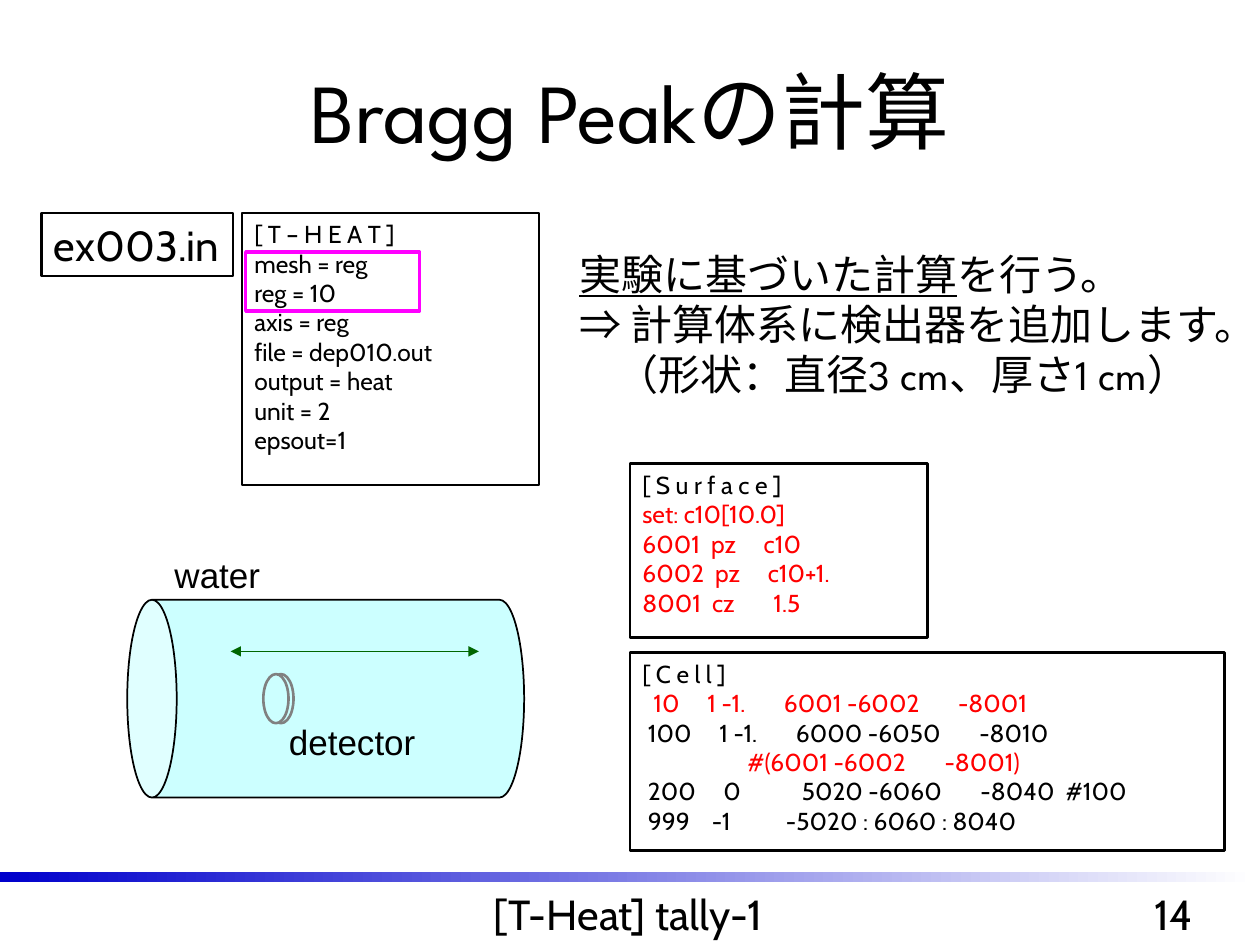
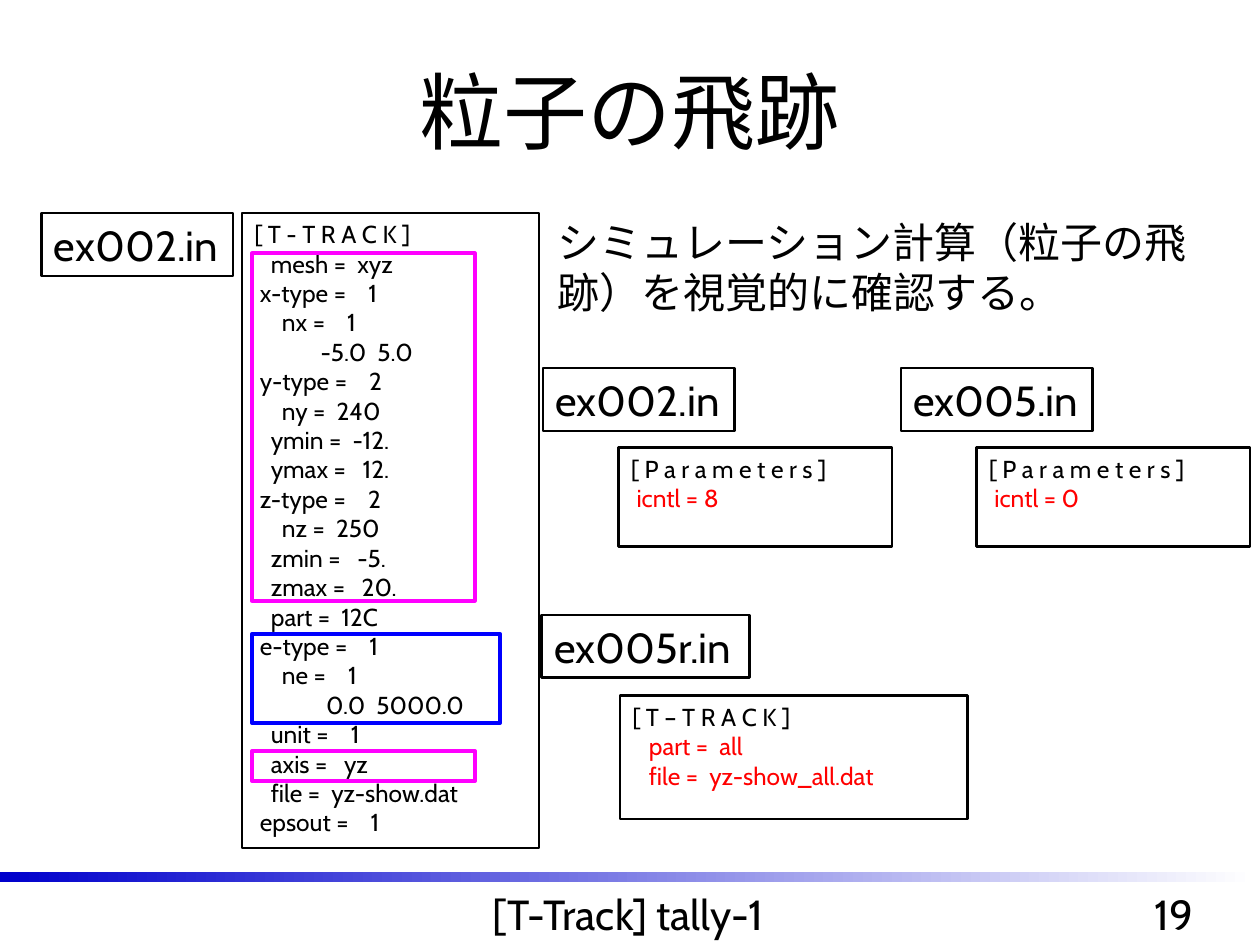
import dataclasses

import lxml.etree
import pptx
import pptx.dml.color
import pptx.enum.shapes
import pptx.enum.text
import pptx.oxml.ns
import pptx.util

Inches = pptx.util.Inches
SHAPES = pptx.enum.shapes.MSO_SHAPE
ALIGN = pptx.enum.text.PP_ALIGN
ANCHOR = pptx.enum.text.MSO_ANCHOR


@dataclasses.dataclass(frozen=True)
class Theme:
    ink: str = "000000"
    paper: str = "FFFFFF"
    added: str = "FF0000"
    focus: str = "FF00FF"
    energy: str = "0000FF"
    band: str = "0000CC"
    water: str = "CCFFFF"
    rim: str = "808080"
    beam: str = "006600"
    heading: str = "League Spartan"
    body: str = "Cabin"
    label: str = "Arial"
    title_size: int = 48
    text_size: int = 24
    label_size: int = 20
    code_size: int = 14
    thin: float = 1
    frame: float = 1.5
    thick: float = 2


class Deck:
    """Draws the elements of the current slide in one shared style."""

    def __init__(self, theme):
        self.theme = theme
        self.presentation = pptx.Presentation()
        self.presentation.slide_width = Inches(10)
        self.presentation.slide_height = Inches(7.5)
        self.slide = None

    def colour(self, code):
        return pptx.dml.color.RGBColor.from_string(code)

    def box(self, at):
        return [Inches(length) for length in at]

    def start(self, title, topic, number):
        theme = self.theme
        self.slide = self.presentation.slides.add_slide(self.presentation.slide_layouts[6])
        self.text((0.25, 0.25, 9.5, 1.25), [title], theme.heading, theme.title_size,
                  ALIGN.CENTER, ANCHOR.MIDDLE)
        band = self.shape((0, 6.92, 9.96, 0.08))
        band.fill.gradient()
        band.fill.gradient_angle = 0
        for stop, code in zip(band.fill.gradient_stops, (theme.band, theme.paper)):
            stop.color.rgb = self.colour(code)
        for at, words in (((2.4, 7, 5.17, 0.5), topic), ((8.92, 7, 0.79, 0.5), number)):
            self.text(at, [words], theme.body, theme.text_size, ALIGN.CENTER)

    def shape(self, at, kind=SHAPES.RECTANGLE, fill=None, line=None, width=None):
        shape = self.slide.shapes.add_shape(kind, *self.box(at))
        shape.shadow.inherit = False
        if fill:
            shape.fill.solid()
            shape.fill.fore_color.rgb = self.colour(fill)
        else:
            shape.fill.background()
        if line:
            shape.line.color.rgb = self.colour(line)
            shape.line.width = pptx.util.Pt(width)
        else:
            shape.line.fill.background()
        return shape

    def set_lines(self, frame, lines, font, size, align=ALIGN.LEFT, anchor=ANCHOR.TOP, added=()):
        frame.word_wrap = True
        frame.vertical_anchor = anchor
        for index, words in enumerate(lines):
            paragraph = frame.paragraphs[0] if index == 0 else frame.add_paragraph()
            paragraph.alignment = align
            paragraph.add_run().text = words
            paragraph.font.name = font
            paragraph.font.size = pptx.util.Pt(size)
            ink = self.theme.added if index in added else self.theme.ink
            paragraph.font.color.rgb = self.colour(ink)
        return frame

    def text(self, at, lines, font, size, align=ALIGN.LEFT, anchor=ANCHOR.TOP):
        frame = self.slide.shapes.add_textbox(*self.box(at)).text_frame
        return self.set_lines(frame, lines, font, size, align, anchor)

    def message(self, at, lines):
        return self.text(at, lines, self.theme.heading, self.theme.text_size)

    def label(self, at, words):
        self.text(at, [words], self.theme.label, self.theme.label_size, ALIGN.CENTER)

    def file_name(self, left, top, words, width=1.52):
        theme = self.theme
        tag = self.shape((left, top, width, 0.5), line=theme.ink, width=theme.frame)
        frame = self.set_lines(tag.text_frame, [words], theme.body, theme.text_size)
        frame.word_wrap = False

    def code(self, at, listing, added=()):
        theme = self.theme
        panel = self.shape(at, fill=theme.paper, line=theme.ink, width=theme.frame)
        self.set_lines(panel.text_frame, listing.split("\n"), theme.body, theme.code_size,
                       added=added)

    def highlight(self, at, code):
        self.shape(at, line=code, width=self.theme.thick)

    def double_arrow(self, left, right, height):
        arrow = self.slide.shapes.add_connector(
            pptx.enum.shapes.MSO_CONNECTOR.STRAIGHT, *self.box((left, height, right, height)))
        arrow.line.color.rgb = self.colour(self.theme.beam)
        arrow.line.width = pptx.util.Pt(self.theme.thin)
        properties = arrow._element.spPr
        outline = properties.find(pptx.oxml.ns.qn("a:ln"))
        for end in ("a:headEnd", "a:tailEnd"):
            lxml.etree.SubElement(outline, pptx.oxml.ns.qn(end), type="triangle")
        lxml.etree.SubElement(properties, pptx.oxml.ns.qn("a:effectLst"))


HEAT = """[ T – H E A T ]
mesh = reg
reg = 10
axis = reg
file = dep010.out
output = heat
unit = 2
epsout=1"""

SURFACE = """[ S u r f a c e ]
set: c10[10.0]
6001  pz     c10
6002  pz     c10+1.
8001  cz       1.5"""

CELL = """[ C e l l ]
  10     1 -1.       6001 -6002       -8001
 100     1 -1.       6000 -6050       -8010
                   #(6001 -6002       -8001)
 200     0           5020 -6060       -8040  #100
 999    -1          -5020 : 6060 : 8040"""

TRACK = """[ T - T R A C K ]
   mesh =  xyz
 x-type =    1
     nx =    1
            -5.0  5.0
 y-type =    2
     ny =  240
   ymin =  -12.
   ymax =   12.
 z-type =    2
     nz =  250
   zmin =   -5.
   zmax =   20.
   part =  12C
 e-type =    1
     ne =    1
             0.0  5000.0
   unit =    1
   axis =   yz
   file =  yz-show.dat
 epsout =    1"""

TRACK_ALL = """[ T – T R A C K ]
   part =  all
   file =  yz-show_all.dat"""


def draw_bragg_peak(deck):
    theme = deck.theme
    deck.start("Bragg Peakの計算", "[T-Heat] tally-1", "14")
    deck.file_name(0.33, 1.69, "ex003.in")
    deck.code((1.92, 1.69, 2.36, 2.16), HEAT)
    purpose = deck.message((4.5, 1.92, 5.33, 1.7), [
        "実験に基づいた計算", "⇒ 計算体系に検出器を追加します。", "（形状：直径3 cm、厚さ1 cm）"])
    opening = purpose.paragraphs[0]
    opening.runs[0].font.underline = True
    opening.add_run().text = "を行う。"
    purpose.paragraphs[2].alignment = ALIGN.CENTER
    deck.code((5, 3.68, 2.36, 1.38), SURFACE, added=range(1, 5))
    deck.code((5, 5.18, 4.72, 1.57), CELL, added=(1, 3))

    deck.label((1.1, 4.34, 1.25, 0.44), "water")
    water = deck.shape((1.8, 3.97, 1.57, 3.15), SHAPES.CAN, theme.water, theme.ink, theme.thin)
    water.adjustments[0] = 0.25
    water.rotation = 270
    for left in (2.13, 2.09):
        deck.shape((left, 5.35, 0.2, 0.39), SHAPES.OVAL, theme.water, theme.rim, theme.frame)
    deck.double_arrow(1.83, 3.8, 5.17)
    deck.label((2.17, 5.67, 1.25, 0.44), "detector")
    deck.highlight((1.95, 2, 1.38, 0.47), theme.focus)


def draw_particle_track(deck):
    theme = deck.theme
    deck.start("粒子の飛跡", "[T-Track] tally-1", "19")
    deck.file_name(0.33, 1.69, "ex002.in")
    deck.code((1.92, 1.69, 2.36, 5.04), TRACK)
    deck.message((4.33, 1.67, 5.33, 0.9),
                 ["シミュレーション計算（粒子の飛跡）を視覚的に確認する。"])
    deck.highlight((2, 2.01, 1.77, 2.76), theme.focus)
    deck.highlight((2, 5.96, 1.77, 0.24), theme.focus)
    for left, name, mode in ((4.31, "ex002.in", 8), (7.15, "ex005.in", 0)):
        deck.code((left + 0.6, 3.55, 2.17, 0.79),
                  f"[ P a r a m e t e r s ]\n icntl = {mode}", added=(1,))
        deck.file_name(left, 2.92, name)
    deck.code((4.92, 5.52, 2.76, 0.98), TRACK_ALL, added=(1, 2))
    deck.file_name(4.3, 4.88, "ex005r.in", 1.65)
    deck.highlight((2, 5.03, 1.97, 0.71), theme.energy)


def main():
    deck = Deck(Theme())
    draw_bragg_peak(deck)
    draw_particle_track(deck)
    deck.presentation.save("out.pptx")


if __name__ == "__main__":
    main()
